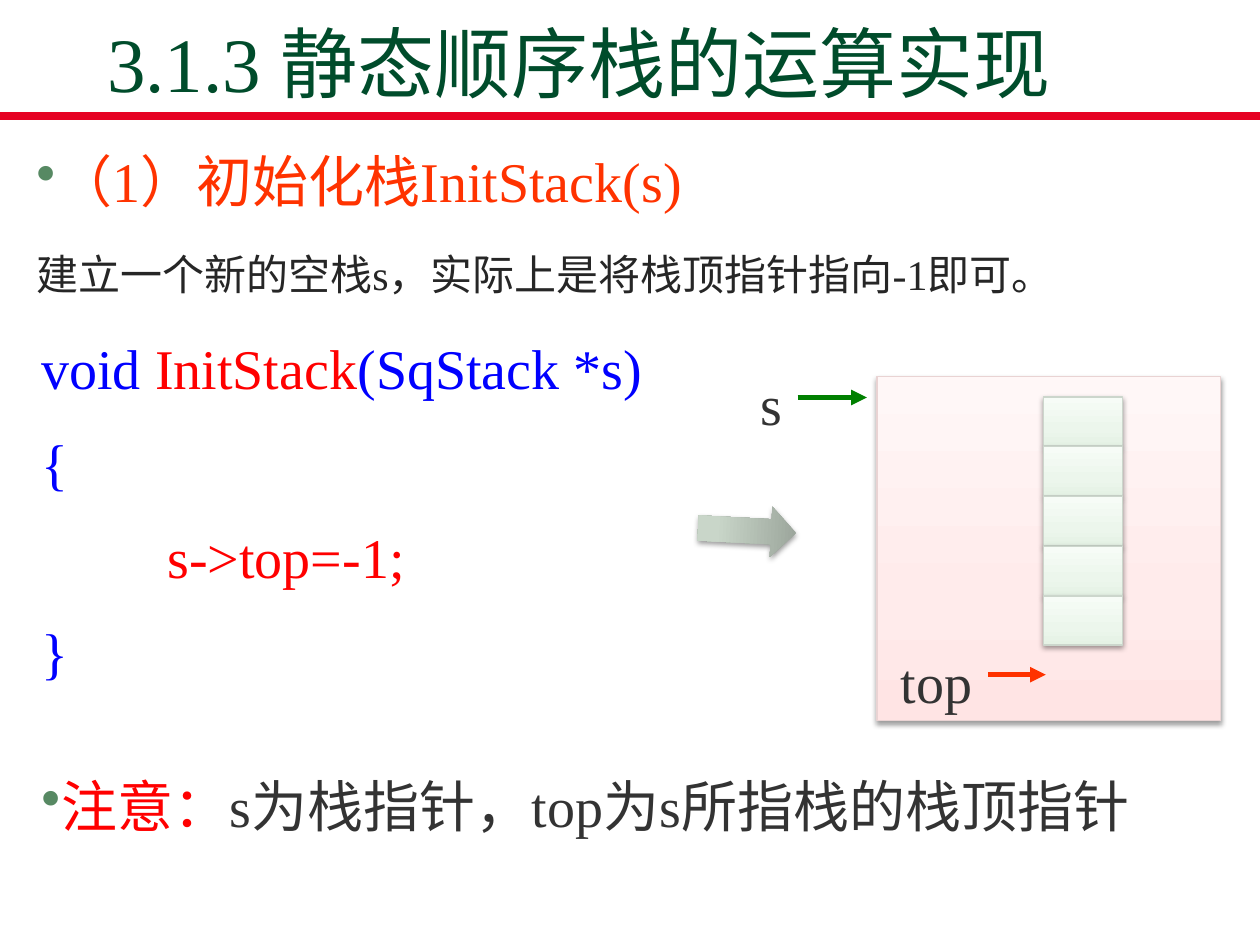
from lxml.etree import SubElement
from pptx import Presentation
from pptx.dml.color import RGBColor
from pptx.enum.shapes import MSO_CONNECTOR as CONNECTOR, MSO_SHAPE as SHAPE
from pptx.enum.text import MSO_ANCHOR as ANCHOR, MSO_AUTO_SIZE as AUTO_SIZE, PP_ALIGN as ALIGN
from pptx.oxml.ns import qn
from pptx.util import Inches, Pt

FONT = "Times New Roman"
GREEN, ORANGE, RED, BLUE, GRAY = "004C2B", "FF3300", "FF0000", "0000FF", "333333"
BULLET = "578963"


def color(value):
    return RGBColor.from_string(value)


def add_element(parent, tag, **attributes):
    return SubElement(parent, qn(tag), {key: str(value) for key, value in attributes.items()})


deck = Presentation()
deck.slide_width, deck.slide_height = Inches(10), Inches(7.5)
page = deck.slides.add_slide(deck.slide_layouts[5])

# Title
title = page.shapes.title
title_format = {"left": 0.75, "top": 0.26, "width": 8.5, "height": 0.65}
for name, value in title_format.items():
    setattr(title, name, Inches(value))
frame = title.text_frame
frame.text = "3.1.3 静态顺序栈的运算实现"
frame.auto_size = AUTO_SIZE.NONE
frame.vertical_anchor = ANCHOR.BOTTOM
frame.paragraphs[0].alignment = ALIGN.LEFT
font = frame.paragraphs[0].runs[0].font
for name, value in {"name": FONT, "size": Pt(44)}.items():
    setattr(font, name, value)
font.color.rgb = color(GREEN)

# Stack frame, its five cells and the block arrow:
# kind, left, top, width, height, rotation, gradient stops, outline
PINK = [(0, "FFE4E4"), (35, "FFEBEB"), (100, "FFF7F7")]
MINT = [(0, "E5F2E5"), (35, "ECF6EC"), (100, "F7FCF7")]
SAGE = [(0, "9BA59B"), (80, "C9D6C9"), (100, "CAD7CA")]
shapes = [(SHAPE.RECTANGLE, 6.96, 2.99, 2.73, 2.73, 0, PINK, "E9D3D3")]
for row in range(5):
    shapes.append((SHAPE.RECTANGLE, 8.28, 3.15 + row * 0.395, 0.63, 0.39, 0, MINT, "CCD6CC"))
shapes.append((SHAPE.DOWN_ARROW, 5.73, 3.82, 0.4, 0.78, 273, SAGE, None))

for kind, left, top, width, height, rotation, stops, outline in shapes:
    shape = page.shapes.add_shape(kind, Inches(left), Inches(top), Inches(width), Inches(height))
    shape.rotation = rotation
    shape.fill.gradient()
    shape.fill.gradient_angle = 90
    properties = shape.element.spPr
    stop_list = properties.find(".//" + qn("a:gsLst"))
    for stop in list(stop_list):
        stop_list.remove(stop)
    for position, value in stops:
        stop = add_element(stop_list, "a:gs", pos=position * 1000)
        add_element(stop, "a:srgbClr", val=value)
    if outline:
        shape.line.color.rgb = color(outline)
        shape.line.width = Pt(0.75)
    else:
        shape.line.fill.background()
    shape.shadow.inherit = False
    shadow = add_element(properties.find(qn("a:effectLst")), "a:outerShdw",
                         blurRad=Pt(3.1), dist=Pt(1.6), dir=5400000, rotWithShape=0)
    add_element(add_element(shadow, "a:srgbClr", val="000000"), "a:alpha", val=38000)

# Texts: left, top, width, height, space before, then paragraphs of
# alignment, bullet, size and (words, colour) spans
texts = {
    "heading": (0.19, 1.01, 9.63, 1.43, 14, [
        (ALIGN.JUSTIFY, True, 32, [("（1）初始化栈InitStack(s)", ORANGE)]),
        (ALIGN.JUSTIFY, False, 24, [("建立一个新的空栈s，实际上是将栈顶指针指向-1即可。", "262626")]),
    ]),
    "s": (5.94, 2.78, 0.39, 0.75, 0, [(ALIGN.LEFT, False, 32, [("s", GRAY)])]),
    "top": (7.05, 4.98, 0.79, 0.75, 0, [(ALIGN.LEFT, False, 32, [("top", GRAY)])]),
    "code": (0.23, 2.49, 5.05, 3, 8, [
        (ALIGN.LEFT, False, 32, [("void ", BLUE), ("InitStack", RED), ("(SqStack *s)", BLUE)]),
        (ALIGN.LEFT, False, 32, [("{", BLUE)]),
        (ALIGN.LEFT, False, 32, [("         s->top=-1;", RED)]),
        (ALIGN.LEFT, False, 32, [("}", BLUE)]),
    ]),
    "note": (0.23, 5.97, 9.46, 0.75, 0, [
        (ALIGN.LEFT, True, 32, [("注意：", RED), ("s为栈指针，top为s所指栈的栈顶指针", GRAY)]),
    ]),
}
boxes = {}
for name, (left, top, width, height, space, paragraphs) in texts.items():
    box = page.shapes.add_textbox(Inches(left), Inches(top), Inches(width), Inches(height))
    boxes[name] = box
    frame = box.text_frame
    frame.word_wrap = True
    frame.auto_size = AUTO_SIZE.SHAPE_TO_FIT_TEXT
    for index, (alignment, bullet, size, spans) in enumerate(paragraphs):
        para = frame.add_paragraph() if index else frame.paragraphs[0]
        para.alignment = alignment
        para.line_spacing = 1.2
        if index:
            para.space_before = Pt(space)
        if bullet:
            settings = para._p.get_or_add_pPr()
            add_element(add_element(settings, "a:buClr"), "a:srgbClr", val=BULLET)
            add_element(settings, "a:buChar", char="•")
        for words, value in spans:
            span = para.add_run()
            span.text = words
            span.font.name = FONT
            span.font.size = Pt(size)
            span.font.color.rgb = color(value)

# Title rule and pointer arrows: label at the start, end, colour, width
lines = [(None, 10, "E60223", 4.5), ("s", 6.88, "008000", 3), ("top", 8.3, ORANGE, 3)]
for label, end, value, width in lines:
    box = boxes.get(label)
    start = box.left + box.width if box else 0
    level = box.top + box.height // 2 if box else Inches(0.92)
    line = page.shapes.add_connector(CONNECTOR.STRAIGHT, start, level, Inches(end), level)
    line.line.color.rgb = color(value)
    line.line.width = Pt(width)
    if box:
        line.begin_connect(box, 3)
        add_element(line.line._get_or_add_ln(), "a:tailEnd", type="triangle")
    add_element(line._element.spPr, "a:effectLst")

deck.save("out.pptx")
